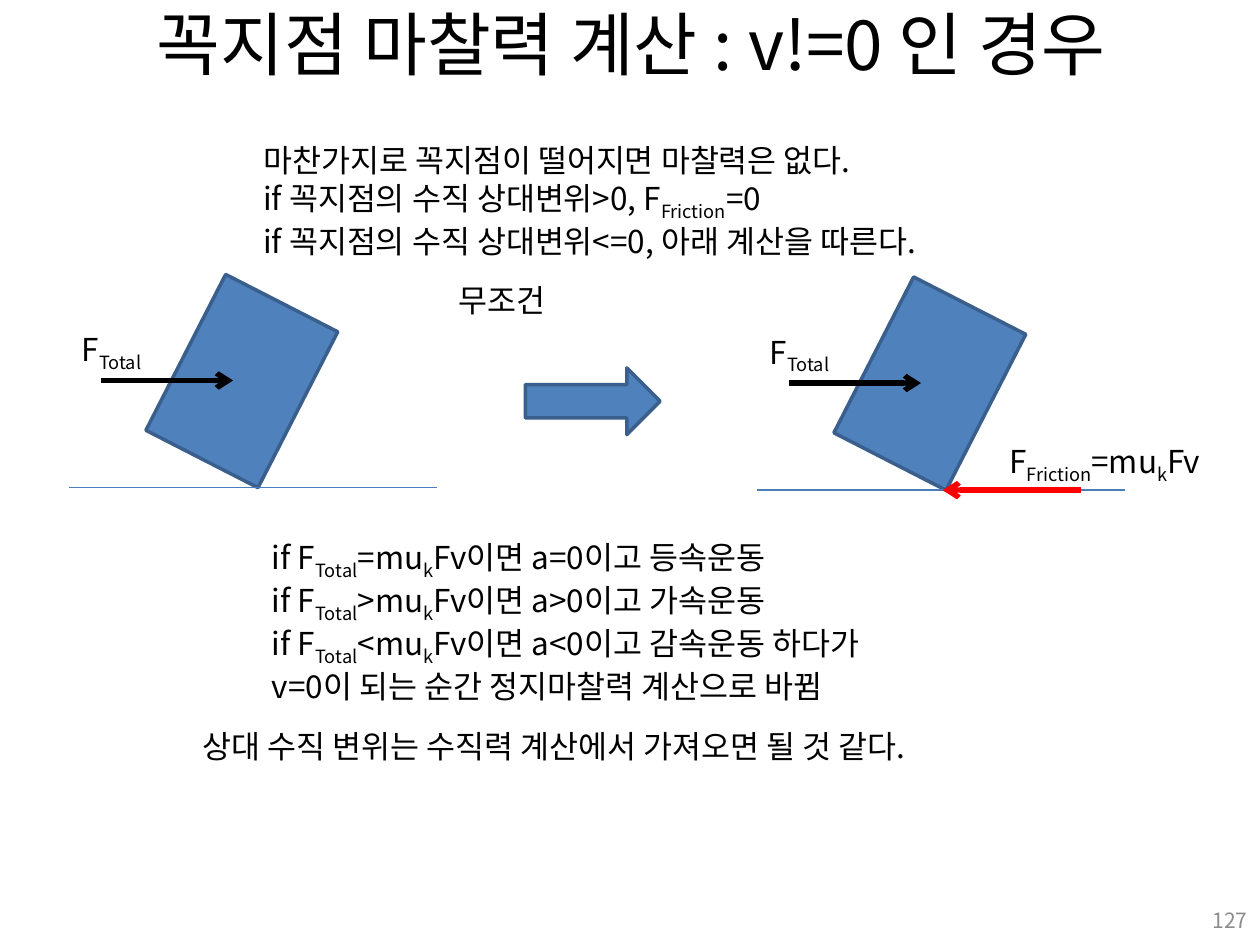
from lxml import etree
from pptx import Presentation
from pptx import util as u
from pptx.dml.color import RGBColor
from pptx.enum import shapes, text
from pptx.oxml import ns

Inches = u.Inches
FONT = "Noto Sans CJK KR"
COLORS = {
    "ink": "000000",
    "block": "4F81BD",
    "block_edge": "3A5F8C",
    "ground": "4B7EBC",
    "friction": "FF0000",
    "page": "8C8C8C",
}


def rgb(name):
    """Return the named colour."""
    return RGBColor.from_string(COLORS[name])


def add_text(slide, box, content, size=18, color="ink", align="LEFT",
             anchor="TOP", wrap=False):
    """Write lines of text, with subscripts held between underscores."""
    frame = slide.shapes.add_textbox(*map(Inches, box)).text_frame
    frame.word_wrap = wrap
    frame.auto_size = (text.MSO_AUTO_SIZE.NONE if wrap
                       else text.MSO_AUTO_SIZE.SHAPE_TO_FIT_TEXT)
    frame.vertical_anchor = text.MSO_ANCHOR[anchor]
    for row, line in enumerate(content.split("\n")):
        paragraph = frame.add_paragraph() if row else frame.paragraphs[0]
        paragraph.alignment = text.PP_ALIGN[align]
        for index, part in enumerate(line.split("_")):
            if not part:
                continue
            run = paragraph.add_run()
            run.text = part
            run.font.size = u.Pt(size)
            run.font.name = FONT
            run.font.color.rgb = rgb(color)
            properties = run._r.get_or_add_rPr()
            etree.SubElement(properties, ns.qn("a:ea"), typeface=FONT)
            if index % 2:
                properties.set("baseline", "-25000")


def add_line(slide, start, end, color, width, arrow=False):
    """Draw a straight line, with an open arrowhead at its end if asked."""
    line = slide.shapes.add_connector(
        shapes.MSO_CONNECTOR.STRAIGHT, *map(Inches, (*start, *end)))
    line.line.color.rgb = rgb(color)
    line.line.width = u.Pt(width)
    if arrow:
        etree.SubElement(line.line._get_or_add_ln(), ns.qn("a:tailEnd"), type="arrow")
    etree.SubElement(line._element.spPr, ns.qn("a:effectLst"))


def add_solid(slide, kind, box, rotation=0):
    """Draw a filled and outlined preset shape."""
    solid = slide.shapes.add_shape(kind, *map(Inches, box))
    solid.rotation = rotation
    solid.shadow.inherit = False
    solid.fill.solid()
    solid.fill.fore_color.rgb = rgb("block")
    solid.line.color.rgb = rgb("block_edge")
    solid.line.width = u.Pt(2)


def add_scene(slide, box, friction=False):
    """Draw a tilted block on the ground with the forces on it."""
    left, top, width, height = box
    ground = top + height
    force = top + 0.69
    add_solid(slide, shapes.MSO_SHAPE.RECTANGLE, (left + 0.87, top, 1, 1.39), 27.1)
    add_line(slide, (left, ground), (left + width, ground), "ground", 0.75)
    add_line(slide, (left + 0.25, force), (left + 1.3, force), "ink", 3, arrow=True)
    add_text(slide, (left, top + 0.24, 0.69, 0.4), "F_Total_")
    if friction:
        add_line(slide, (left + 2.57, ground), (left + 1.47, ground),
                 "friction", 3, arrow=True)
        add_text(slide, (left + 1.9, ground - 0.43, 1.81, 0.4),
                 "F_Friction_=mu_k_Fv")


def add_diagram(slide, box):
    """Place the scenes before and after friction, and the step between."""
    left, top, width, height = box
    scene_width = 2.92
    add_scene(slide, (left, top, scene_width, height))
    add_scene(slide, (left + width - scene_width, top + 0.02, scene_width, height),
              friction=True)
    add_text(slide, (left + 2.99, top - 0.15, 0.96, 0.4), "무조건")
    add_solid(slide, shapes.MSO_SHAPE.RIGHT_ARROW,
              (left + 3.62, top + 0.59, 1.07, 0.53))


def add_rules(slide, box):
    """List the motion that follows from each balance of forces."""
    cases = [("=", "등속운동"), (">", "가속운동"), ("<", "감속운동 하다가")]
    lines = [f"if F_Total_{sign}mu_k_Fv이면 a{sign}0이고 {motion}"
             for sign, motion in cases]
    lines.append("v=0이 되는 순간 정지마찰력 계산으로 바뀜")
    add_text(slide, box, "\n".join(lines))


def main():
    """Build and save the slide."""
    deck = Presentation()
    deck.slide_width, deck.slide_height = Inches(10), Inches(7.5)
    slide = deck.slides.add_slide(deck.slide_layouts[6])
    add_text(slide, (0.51, 0, 9, 0.68), "꼭지점 마찰력 계산 : v!=0 인 경우",
             size=39.6, align="CENTER", anchor="MIDDLE", wrap=True)
    add_diagram(slide, (0.55, 2.33, 8.38, 1.54))
    add_rules(slide, (2.06, 4.22, 5.29, 1.31))
    add_text(slide, (1.99, 1.07, 6.03, 1.01),
             "마찬가지로 꼭지점이 떨어지면 마찰력은 없다.\n"
             "if 꼭지점의 수직 상대변위>0, F_Friction_=0\n"
             "if 꼭지점의 수직 상대변위<=0, 아래 계산을 따른다.")
    add_text(slide, (1.51, 5.72, 6.53, 0.4),
             "상대 수직 변위는 수직력 계산에서 가져오면 될 것 같다.")
    add_text(slide, (7.67, 7.1, 2.33, 0.4), "127", size=12, color="page",
             align="RIGHT", anchor="MIDDLE", wrap=True)
    deck.save("out.pptx")


if __name__ == "__main__":
    main()
